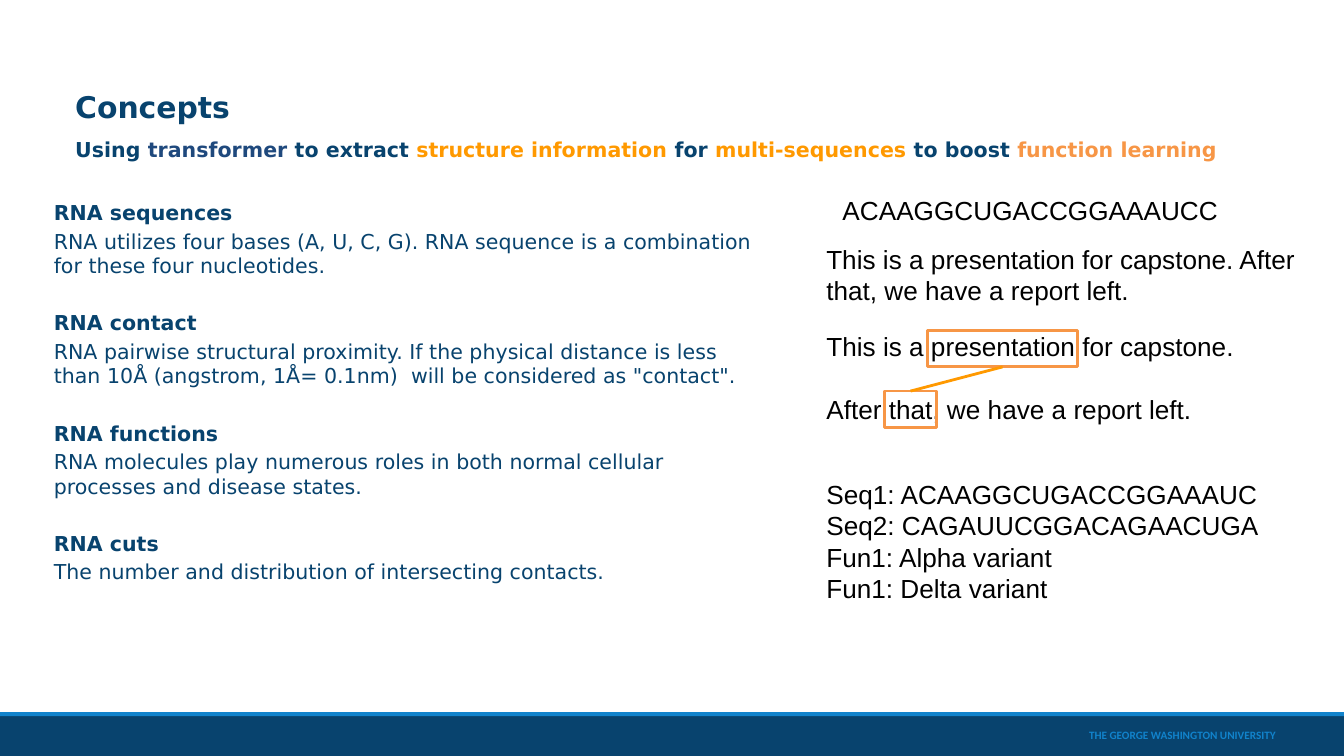
import pptx
import pptx.dml.color
import pptx.enum.shapes
import pptx.enum.text
import pptx.oxml.ns
import pptx.util
from lxml import etree

Inches = pptx.util.Inches
Pt = pptx.util.Pt

NAVY = "08436E"
BLUE = "1183CC"
ORANGE = "F79646"
AMBER = "FF9900"
BLACK = "000000"
HEADING_FONT = "DejaVu Sans"


def rgb(value):
    return pptx.dml.color.RGBColor.from_string(value)


class SlideBuilder:
    """Holds the text style and the slide that elements are added to."""

    def __init__(self, slide, font=HEADING_FONT, size=11, color=NAVY):
        self.slide = slide
        self.font = font
        self.size = size
        self.color = color

    def rectangle(self, left, top, width, height, fill=None, line=None):
        shape = self.slide.shapes.add_shape(
            pptx.enum.shapes.MSO_SHAPE.RECTANGLE,
            Inches(left), Inches(top), Inches(width), Inches(height))
        shape.shadow.inherit = False
        if fill:
            shape.fill.solid()
            shape.fill.fore_color.rgb = rgb(fill)
        else:
            shape.fill.background()
        if line:
            shape.line.color.rgb = rgb(line)
            shape.line.width = Pt(1.5)
        else:
            shape.line.fill.background()
        return shape

    def link(self, lower, upper, color):
        connector = self.slide.shapes.add_connector(
            pptx.enum.shapes.MSO_CONNECTOR.STRAIGHT, 0, 0, 0, 0)
        connector.begin_connect(lower, 0)
        connector.end_connect(upper, 2)
        connector.line.color.rgb = rgb(color)
        connector.line.width = Pt(1.5)
        properties = connector._element.spPr
        etree.SubElement(properties, pptx.oxml.ns.qn("a:effectLst"))

    def text(self, left, top, width, height, paragraphs, size=None, font=None,
             color=None, bold=False, margins=(0.06, 0.03)):
        box = self.slide.shapes.add_textbox(
            Inches(left), Inches(top), Inches(width), Inches(height))
        frame = box.text_frame
        frame.word_wrap = True
        frame.margin_left = frame.margin_right = Inches(margins[0])
        frame.margin_top = frame.margin_bottom = Inches(margins[1])
        for index, runs in enumerate(paragraphs):
            paragraph = frame.paragraphs[0] if index == 0 else frame.add_paragraph()
            for words, overrides in runs:
                run = paragraph.add_run()
                run.text = words
                run.font.name = font or self.font
                run.font.size = Pt(size or self.size)
                run.font.bold = overrides.get("bold", bold)
                run.font.color.rgb = rgb(overrides.get("color", color or self.color))
        return frame

    def example(self, left, top, width, height, lines):
        return self.text(left, top, width, height, [[(line, {})] for line in lines],
                         size=14, font="Arial", color=BLACK, margins=(0.1, 0.1))

    def definitions(self, left, top, width, height, entries):
        paragraphs = []
        for term, meaning in entries:
            paragraphs += [[(term, {"bold": True})], [(meaning, {})]]
        frame = self.text(left, top, width, height, paragraphs)
        for index, paragraph in enumerate(frame.paragraphs[1:], start=1):
            paragraph.space_before = Pt(2 if index % 2 else 17.4)


def main():
    presentation = pptx.Presentation()
    presentation.slide_width = Inches(10)
    presentation.slide_height = presentation.slide_width * 9 // 16
    builder = SlideBuilder(presentation.slides.add_slide(presentation.slide_layouts[6]))

    builder.rectangle(0, 5.32, 10, 0.31, fill=NAVY)
    builder.rectangle(0, 5.3, 10, 0.03, fill=BLUE)
    footer = builder.text(5.19, 5.39, 4.36, 0.16,
                          [[("THE GEORGE WASHINGTON UNIVERSITY", {})]],
                          size=6, font="Calibri", color=BLUE, bold=True)
    footer.vertical_anchor = pptx.enum.text.MSO_ANCHOR.MIDDLE
    footer.paragraphs[0].alignment = pptx.enum.text.PP_ALIGN.RIGHT

    title = builder.text(0.5, 0.55, 7.36, 0.41, [[("Concepts", {})]], size=16, bold=True)
    title.paragraphs[0].line_spacing = 1.3
    builder.text(0.5, 0.99, 8.64, 0.32, [[
        ("Using ", {}),
        ("transformer", {"color": "1F497D"}),
        (" to extract ", {}),
        ("structure information", {"color": AMBER}),
        (" for ", {}),
        ("multi-sequences", {"color": AMBER}),
        (" to boost ", {}),
        ("function learning", {"color": ORANGE}),
    ]], bold=True)

    builder.definitions(0.34, 1.46, 5.38, 3.49, [
        ("RNA sequences",
         "RNA utilizes four bases (A, U, C, G). RNA sequence is a combination "
         "for these four nucleotides."),
        ("RNA contact",
         "RNA pairwise structural proximity. If the physical distance is less "
         "than 10Å (angstrom, 1Å= 0.1nm)  will be considered as \"contact\"."),
        ("RNA functions",
         "RNA molecules play numerous roles in both normal cellular processes "
         "and disease states."),
        ("RNA cuts", "The number and distribution of intersecting contacts."),
    ])

    builder.example(6.17, 1.35, 3.19, 0.44, ["ACAAGGCUGACCGGAAAUCC"])
    builder.example(6.05, 1.71, 3.76, 0.67, [
        "This is a presentation for capstone. After that, we have a report left."])
    sentences = builder.example(6.05, 2.36, 3.42, 0.91, [
        "This is a presentation for capstone.", "After that, we have a report left."])
    sentences.paragraphs[1].space_before = Pt(17)

    noun_box = builder.rectangle(6.9, 2.46, 1.12, 0.27, line=ORANGE)
    pronoun_box = builder.rectangle(6.58, 2.91, 0.39, 0.27, line=ORANGE)
    builder.link(pronoun_box, noun_box, AMBER)

    builder.example(6.05, 3.46, 3.42, 1.14, [
        "Seq1: ACAAGGCUGACCGGAAAUC",
        "Seq2: CAGAUUCGGACAGAACUGA",
        "Fun1: Alpha variant",
        "Fun1: Delta variant",
    ])
    presentation.save("out.pptx")


if __name__ == "__main__":
    main()
